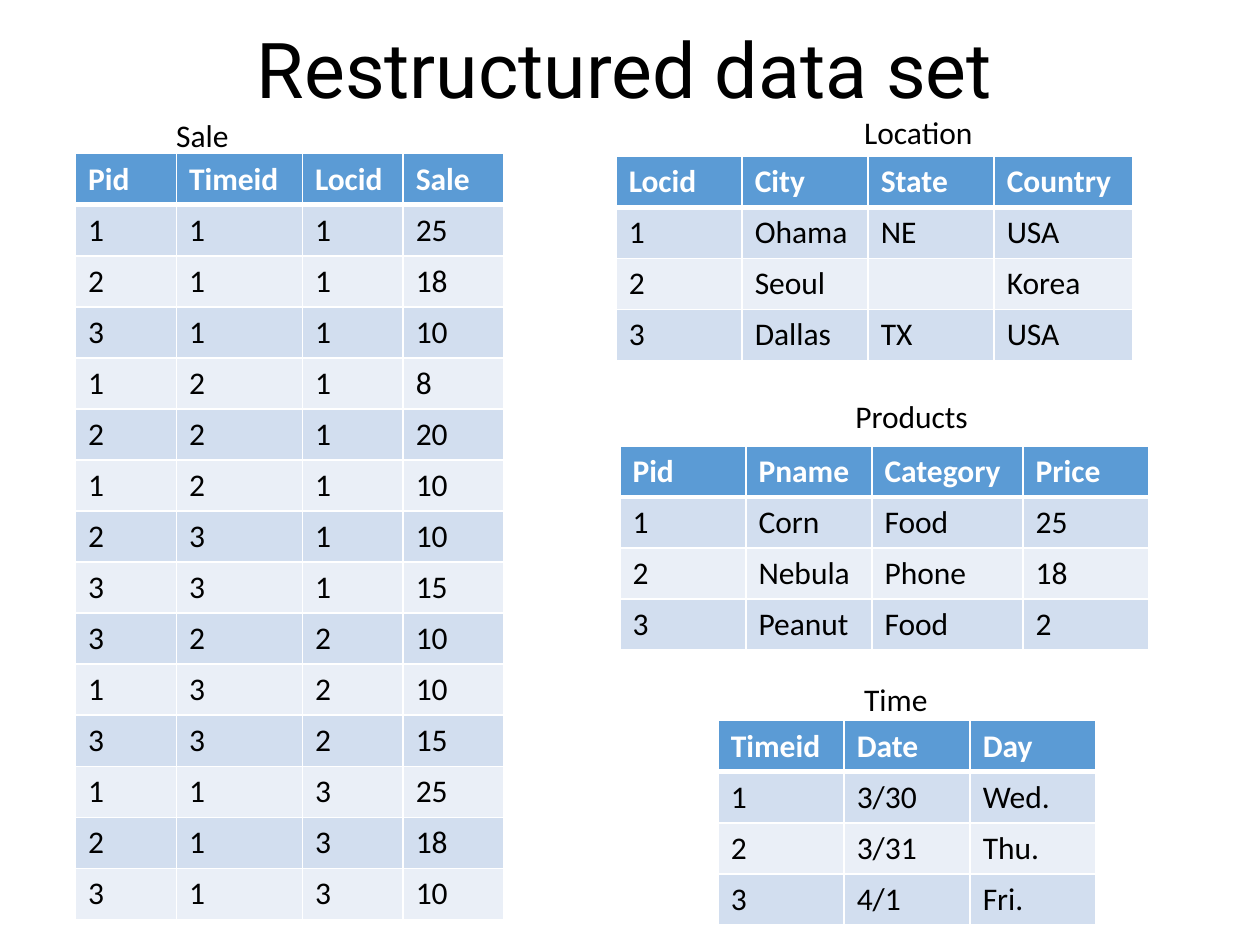
from lxml.etree import SubElement
from pptx import Presentation
from pptx.dml.color import RGBColor
from pptx.enum.text import MSO_ANCHOR, PP_ALIGN
from pptx.oxml import parse_xml
from pptx.oxml.ns import nsdecls, qn
from pptx.util import Inches, Pt

BLACK = RGBColor(0x00, 0x00, 0x00)
WHITE = RGBColor(0xFF, 0xFF, 0xFF)
HEADER_BLUE = RGBColor(0x5B, 0x9B, 0xD5)
BAND_DARK = RGBColor(0xD2, 0xDE, 0xEF)
BAND_LIGHT = RGBColor(0xEA, 0xEF, 0xF7)

ROW_HEIGHT = 0.4055
TITLE_BOX = (0.65, 0, 8.62, 1.17)

# Each entry: caption, caption box, table left and top, column widths, rows
TABLES = [
    ("Sale", (1.3, 0.87, 0.62, 0.4), (0.6, 1.22), (0.8, 1, 0.8, 0.8), [
        ("Pid", "Timeid", "Locid", "Sale"),
        (1, 1, 1, 25), (2, 1, 1, 18), (3, 1, 1, 10), (1, 2, 1, 8),
        (2, 2, 1, 20), (1, 2, 1, 10), (2, 3, 1, 10), (3, 3, 1, 15),
        (3, 2, 2, 10), (1, 3, 2, 10), (3, 3, 2, 15), (1, 1, 3, 25),
        (2, 1, 3, 18), (3, 1, 3, 10),
    ]),
    ("Location", (6.76, 0.85, 1.07, 0.4), (4.89, 1.24), (1, 1, 1, 1.1), [
        ("Locid", "City", "State", "Country"),
        (1, "Ohama", "NE", "USA"),
        (2, "Seoul", "", "Korea"),
        (3, "Dallas", "TX", "USA"),
    ]),
    ("Products", (6.69, 3.1, 1.1, 0.4), (4.92, 3.54), (1, 1, 1.2, 1), [
        ("Pid", "Pname", "Category", "Price"),
        (1, "Corn", "Food", 25),
        (2, "Nebula", "Phone", 18),
        (3, "Peanut", "Food", 2),
    ]),
    ("Time", (6.76, 5.35, 0.71, 0.4), (5.7, 5.72), (1, 1, 1), [
        ("Timeid", "Date", "Day"),
        (1, "3/30", "Wed."),
        (2, "3/31", "Thu."),
        (3, "4/1", "Fri."),
    ]),
]


def format_runs(paragraph, font_name, size, color, bold=False):
    for run in paragraph.runs:
        run.font.name = font_name
        run.font.size = Pt(size)
        run.font.color.rgb = color
        run.font.bold = bold


def add_text(slide, box, text, font_name, size, wrap=False):
    shape = slide.shapes.add_textbox(*(Inches(value) for value in box))
    text_frame = shape.text_frame
    text_frame.word_wrap = wrap
    text_frame.text = text
    format_runs(text_frame.paragraphs[0], font_name, size, BLACK)
    return text_frame


def add_title(slide, box, text):
    text_frame = add_text(slide, box, text, "Roboto", 44, wrap=True)
    text_frame.vertical_anchor = MSO_ANCHOR.MIDDLE
    paragraph = text_frame.paragraphs[0]
    paragraph.alignment = PP_ALIGN.CENTER
    paragraph.line_spacing = 0.9


def set_borders(cell, top, bottom):
    """Draw white cell borders; they must precede the fill in the XML."""
    properties = cell._tc.get_or_add_tcPr()
    widths = {"lnL": 1, "lnR": 1, "lnT": top, "lnB": bottom}
    for index, (side, width) in enumerate(widths.items()):
        line = parse_xml(f'<a:{side} {nsdecls("a")} w="{Pt(width)}"/>')
        fill = SubElement(line, qn("a:solidFill"))
        SubElement(fill, qn("a:srgbClr"), val=str(WHITE))
        properties.insert(index, line)


def add_data_table(slide, position, widths, rows):
    left, top = position
    frame = slide.shapes.add_table(
        len(rows), len(widths), Inches(left), Inches(top),
        Inches(sum(widths)), Inches(ROW_HEIGHT * len(rows)))
    table = frame.table
    for column, width in zip(table.columns, widths):
        column.width = Inches(width)

    for row_index, values in enumerate(rows):
        table.rows[row_index].height = Inches(ROW_HEIGHT)
        is_header = row_index == 0
        band = BAND_DARK if row_index % 2 else BAND_LIGHT
        for column_index, value in enumerate(values):
            cell = table.cell(row_index, column_index)
            cell.text = str(value)
            cell.fill.solid()
            cell.fill.fore_color.rgb = HEADER_BLUE if is_header else band
            format_runs(cell.text_frame.paragraphs[0], "Calibri", 18,
                        WHITE if is_header else BLACK, is_header)
            # A thick rule separates the header from the first data row
            set_borders(cell, top=3 if row_index == 1 else 1,
                        bottom=3 if is_header else 1)


def main():
    presentation = Presentation()
    presentation.slide_width = Inches(10)
    presentation.slide_height = Inches(7.5)
    slide = presentation.slides.add_slide(presentation.slide_layouts[6])

    add_title(slide, TITLE_BOX, "Restructured data set")
    for caption, caption_box, position, widths, rows in TABLES:
        add_data_table(slide, position, widths, rows)
        add_text(slide, caption_box, caption, "Calibri", 18)

    presentation.save("out.pptx")


if __name__ == "__main__":
    main()
